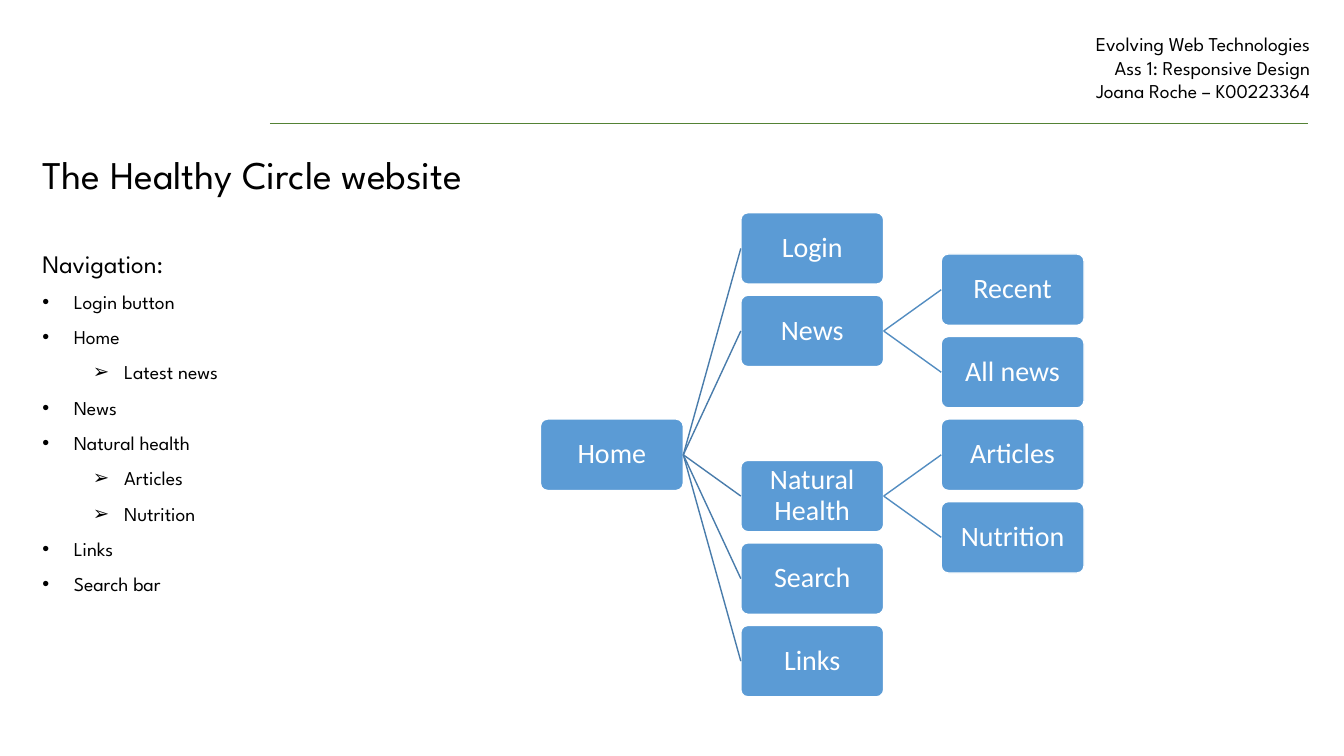
from dataclasses import dataclass

from lxml.etree import SubElement
from pptx import Presentation
from pptx.dml.color import RGBColor
from pptx.enum.shapes import MSO_CONNECTOR, MSO_SHAPE
from pptx.enum.text import MSO_ANCHOR, MSO_AUTO_SIZE, PP_ALIGN
from pptx.oxml.ns import qn
from pptx.shapes.autoshape import Shape
from pptx.slide import Slide
from pptx.text.text import TextFrame, _Paragraph
from pptx.util import Cm, Pt


@dataclass(frozen=True)
class Theme:
    font: str = "League Spartan"
    node_font: str = "Calibri"
    ink: str = "000000"
    white: str = "FFFFFF"
    rule: str = "548235"
    node: str = "5B9BD5"
    links: tuple[str, str] = ("497CAB", "538DC1")
    title: int = 28
    head: int = 18
    body: int = 14
    label: int = 20


@dataclass(frozen=True)
class Node:
    name: str
    col: int
    row: float
    parent: str = ""


@dataclass(frozen=True)
class Entry:
    text: str
    level: int = 0


THEME = Theme()
LEFT, TOP = 13.62, 5.36
STEP_X, STEP_Y = 5.05, 2.08
WIDTH, HEIGHT = 3.6, 1.8
BULLETS = (("•", 0.79), ("➢", 2.06))
HANG = 0.79
HEADER = ("Evolving Web Technologies", "Ass 1: Responsive Design", "Joana Roche – K00223364")

NODES = (
    Node("Home", 0, 2.5),
    Node("Login", 1, 0, "Home"),
    Node("News", 1, 1, "Home"),
    Node("Recent", 2, 0.5, "News"),
    Node("All news", 2, 1.5, "News"),
    Node("Natural Health", 1, 3, "Home"),
    Node("Articles", 2, 2.5, "Natural Health"),
    Node("Nutrition", 2, 3.5, "Natural Health"),
    Node("Search", 1, 4, "Home"),
    Node("Links", 1, 5, "Home"),
)

ENTRIES = (
    Entry("Login button"),
    Entry("Home"),
    Entry("Latest news", 1),
    Entry("News"),
    Entry("Natural health"),
    Entry("Articles", 1),
    Entry("Nutrition", 1),
    Entry("Links"),
    Entry("Search bar"),
)


def style(para: _Paragraph, size: int, color: str = THEME.ink, font: str = THEME.font) -> None:
    for run in para.runs:
        run.font.name = font
        run.font.size = Pt(size)
        run.font.color.rgb = RGBColor.from_string(color)


def add_box(slide: Slide, x: float, y: float, w: float, h: float) -> TextFrame:
    frame = slide.shapes.add_textbox(Cm(x), Cm(y), Cm(w), Cm(h)).text_frame
    frame.word_wrap = True
    return frame


def add_line(slide: Slide, color: str, width: float, ends: tuple[float, float, float, float]):
    line = slide.shapes.add_connector(MSO_CONNECTOR.STRAIGHT, *map(Cm, ends))
    line.line.color.rgb = RGBColor.from_string(color)
    line.line.width = Pt(width)
    SubElement(line._element.spPr, qn("a:effectLst"))
    return line


def add_title(slide: Slide) -> None:
    title = slide.shapes.title
    title.left, title.top, title.width, title.height = Cm(0.82), Cm(3.63), Cm(20), Cm(1.52)
    frame = title.text_frame
    frame.text = "The Healthy Circle website"
    frame.auto_size = MSO_AUTO_SIZE.NONE
    frame.vertical_anchor = MSO_ANCHOR.MIDDLE
    frame.paragraphs[0].alignment = PP_ALIGN.LEFT
    style(frame.paragraphs[0], THEME.title)


def add_header(slide: Slide) -> None:
    frame = add_box(slide, 20.61, 0.69, 12.66, 2.2)
    frame.text = "\n".join(HEADER)
    for para in frame.paragraphs:
        para.alignment = PP_ALIGN.RIGHT
        style(para, THEME.body)
    add_line(slide, THEME.rule, 0.75, (6.8, 3.11, 32.96, 3.11))


def add_bullet(para: _Paragraph, level: int) -> None:
    mark, margin = BULLETS[level]
    para.level = level
    props = para._p.get_or_add_pPr()
    props.set("marL", str(Cm(margin)))
    props.set("indent", str(-Cm(HANG)))
    SubElement(props, qn("a:buFont"), typeface="Arial")
    SubElement(props, qn("a:buChar"), char=mark)


def add_list(slide: Slide) -> None:
    frame = add_box(slide, 0.82, 5.74, 12, 11.8)
    frame.text = "Navigation:"
    style(frame.paragraphs[0], THEME.head)
    for entry in ENTRIES:
        para = frame.add_paragraph()
        para.text = entry.text
        add_bullet(para, entry.level)
        style(para, THEME.body)
    for para in frame.paragraphs:
        para.line_spacing = 1.5


def add_node(slide: Slide, node: Node) -> Shape:
    x, y = LEFT + node.col * STEP_X, TOP + node.row * STEP_Y
    shape = slide.shapes.add_shape(
        MSO_SHAPE.ROUNDED_RECTANGLE, Cm(x), Cm(y), Cm(WIDTH), Cm(HEIGHT)
    )
    shape.adjustments[0] = 0.1
    shape.shadow.inherit = False
    shape.fill.solid()
    shape.fill.fore_color.rgb = RGBColor.from_string(THEME.node)
    shape.line.color.rgb = RGBColor.from_string(THEME.white)
    shape.line.width = Pt(1)
    frame = shape.text_frame
    frame.text = node.name
    frame.word_wrap = True
    frame.vertical_anchor = MSO_ANCHOR.MIDDLE
    frame.margin_left = frame.margin_right = Cm(0.08)
    frame.margin_top = frame.margin_bottom = Cm(0.08)
    para = frame.paragraphs[0]
    para.alignment = PP_ALIGN.CENTER
    para.line_spacing = 0.9
    style(para, THEME.label, THEME.white, THEME.node_font)
    return shape


def add_tree(slide: Slide) -> None:
    shapes = {node.name: add_node(slide, node) for node in NODES}
    for node in NODES:
        if node.parent:
            line = add_line(slide, THEME.links[node.col - 1], 1, (0, 0, 1, 1))
            line.begin_connect(shapes[node.parent], 3)
            line.end_connect(shapes[node.name], 1)


def main() -> None:
    deck = Presentation()
    deck.slide_width, deck.slide_height = Cm(33.87), Cm(19.05)
    slide = deck.slides.add_slide(deck.slide_layouts[5])
    add_title(slide)
    add_header(slide)
    add_list(slide)
    add_tree(slide)
    deck.save("out.pptx")


if __name__ == "__main__":
    main()
